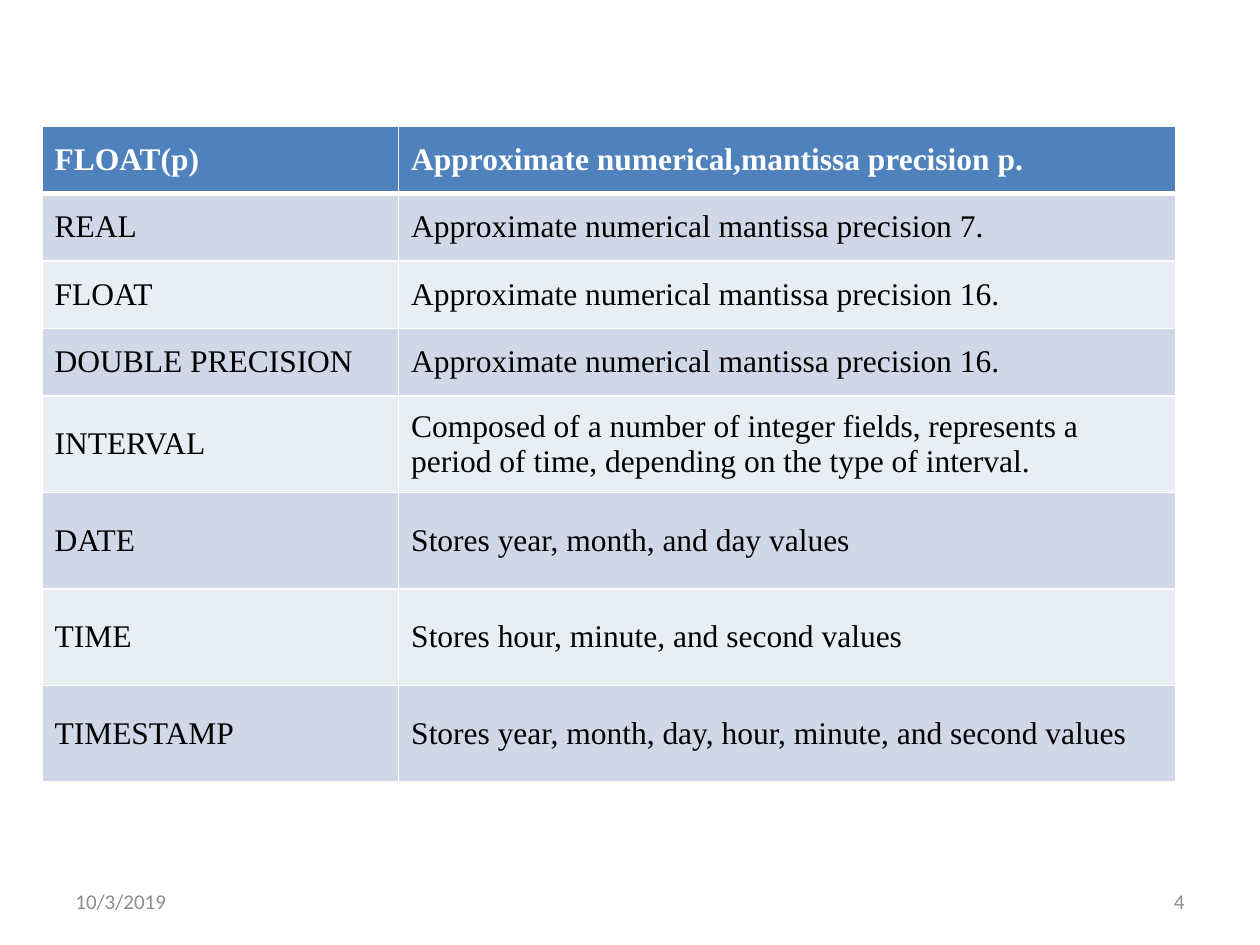
from lxml import etree
from pptx import Presentation
from pptx.dml.color import RGBColor
from pptx.enum import text
from pptx.oxml import ns
from pptx.util import Pt

WHITE = RGBColor(0xFF, 0xFF, 0xFF)
BLACK = RGBColor(0, 0, 0)
GREY = RGBColor(0x8C, 0x8C, 0x8C)
HEADER_BLUE = RGBColor(0x4F, 0x81, 0xBD)
BANDS = (RGBColor(0xE9, 0xED, 0xF4), RGBColor(0xD0, 0xD8, 0xE8))

COLUMN_WIDTHS = (203.8, 444.2)
ROW_HEIGHTS = (38.6,) * 4 + (55.15,) * 4
DATA_TYPES = (
    ("FLOAT(p)", "Approximate numerical,mantissa precision p."),
    ("REAL", "Approximate numerical mantissa precision 7."),
    ("FLOAT", "Approximate numerical mantissa precision 16."),
    ("DOUBLE PRECISION", "Approximate numerical mantissa precision 16."),
    ("INTERVAL", "Composed of a number of integer fields, represents a "
                 "period of time, depending on the type of interval."),
    ("DATE", "Stores year, month, and day values"),
    ("TIME", "Stores hour, minute, and second values"),
    ("TIMESTAMP", "Stores year, month, day, hour, minute, and second values"),
)


class SlideBuilder:
    TABLE_FONT = {"name": "Times New Roman", "size": Pt(18)}
    FOOTER_FONT = {"name": "Calibri", "size": Pt(12)}

    def __init__(self, page):
        self.page = page

    def add_span(self, para, words, color, font):
        span = para.add_run()
        span.text = words
        span.font.color.rgb = color
        for name, value in font.items():
            setattr(span.font, name, value)

    def border(self, cell, widths):
        """Draw white cell borders; widths maps a side (L, R, T, B) to points."""
        properties = cell._tc.get_or_add_tcPr()
        for place, (side, width) in enumerate(widths.items()):
            line = etree.Element(ns.qn(f"a:ln{side}"), w=str(int(Pt(width))))
            fill = etree.SubElement(line, ns.qn("a:solidFill"))
            etree.SubElement(fill, ns.qn("a:srgbClr"), val=str(WHITE))
            properties.insert(place, line)

    def table(self, left, top, rows, widths, heights):
        frame = self.page.shapes.add_table(
            len(rows), len(widths), Pt(left), Pt(top), Pt(sum(widths)), Pt(sum(heights)))
        table = frame.table
        for column, width in zip(table.columns, widths):
            column.width = Pt(width)
        for index, (row, height, words) in enumerate(zip(table.rows, heights, rows)):
            row.height = Pt(height)
            header = index == 0
            for cell, value in zip(row.cells, words):
                cell.vertical_anchor = text.MSO_ANCHOR.MIDDLE
                cell.fill.solid()
                cell.fill.fore_color.rgb = HEADER_BLUE if header else BANDS[index % 2]
                self.border(cell, {"L": 1, "R": 1, "T": 3 if index == 1 else 1,
                                   "B": 3 if header else 1})
                self.add_span(cell.text_frame.paragraphs[0], value,
                              WHITE if header else BLACK,
                              {**self.TABLE_FONT, "bold": header})

    def footer(self, left, words, align):
        box = self.page.shapes.add_textbox(Pt(left), Pt(500.5), Pt(168), Pt(28.75))
        box.text_frame.word_wrap = True
        box.text_frame.vertical_anchor = text.MSO_ANCHOR.MIDDLE
        para = box.text_frame.paragraphs[0]
        para.alignment = align
        self.add_span(para, words, GREY, self.FOOTER_FONT)


def main():
    deck = Presentation()
    deck.slide_width, deck.slide_height = Pt(720), Pt(540)
    builder = SlideBuilder(deck.slides.add_slide(deck.slide_layouts[6]))
    builder.table(24, 72, DATA_TYPES, COLUMN_WIDTHS, ROW_HEIGHTS)
    builder.footer(516, "4", text.PP_ALIGN.RIGHT)
    builder.footer(36, "10/3/2019", text.PP_ALIGN.LEFT)
    deck.save("out.pptx")


if __name__ == "__main__":
    main()
